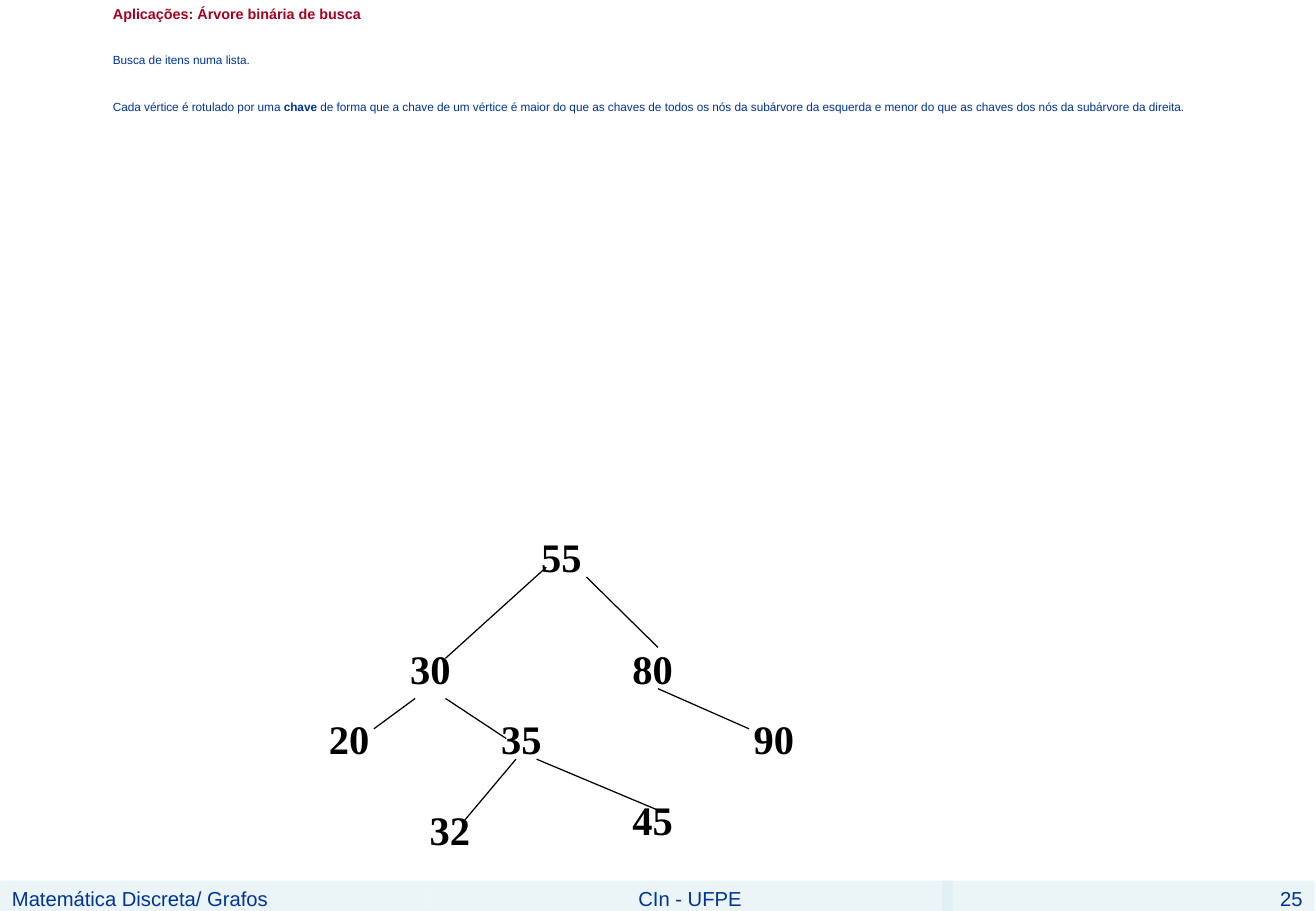
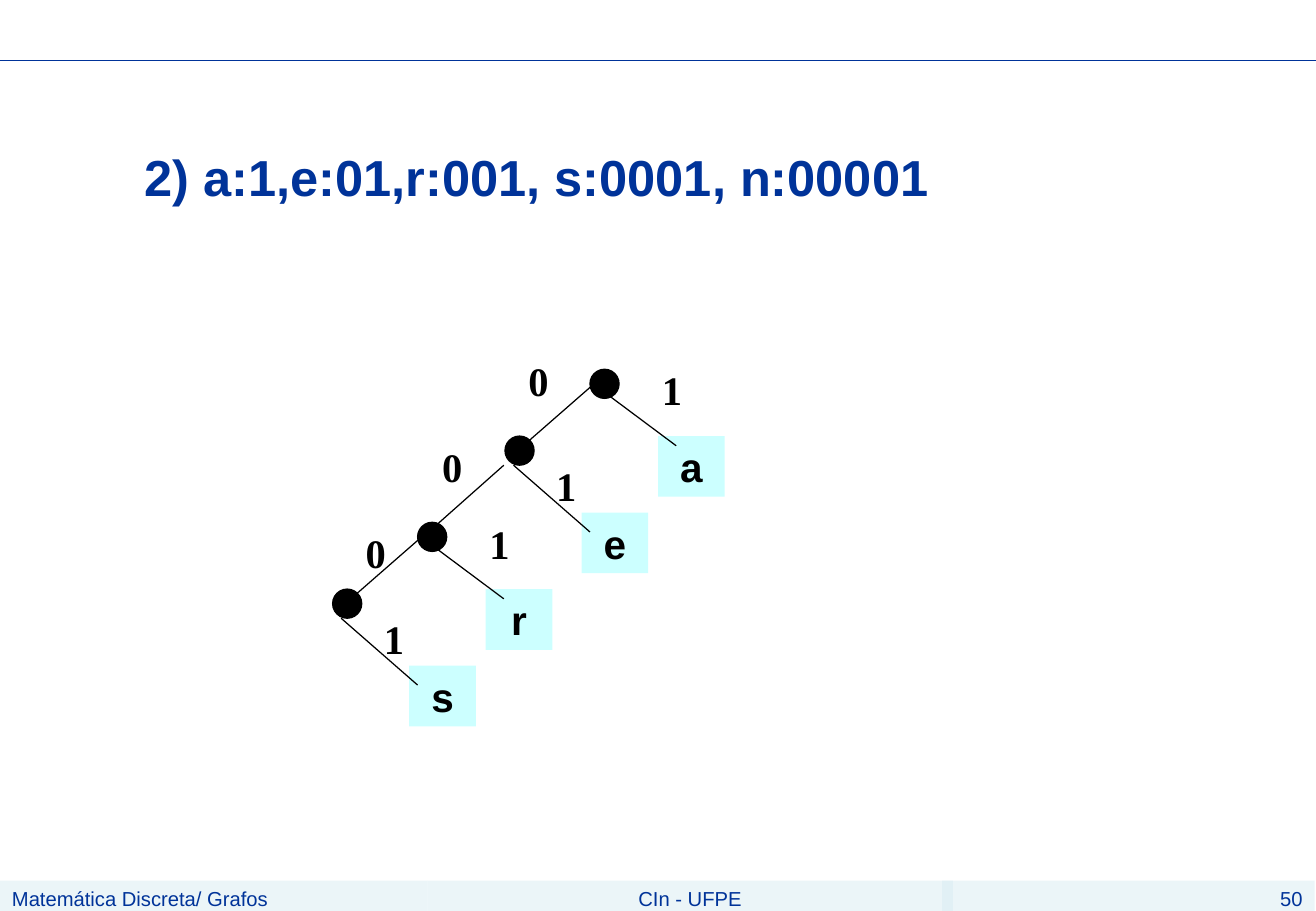
from dataclasses import dataclass
from typing import Any, Optional

import pptx
import pptx.dml.color
import pptx.enum.shapes
import pptx.enum.text
import pptx.oxml.ns
import pptx.util
from lxml import etree

Inches = pptx.util.Inches
Pt = pptx.util.Pt
ALIGN = pptx.enum.text.PP_ALIGN
SHAPE = pptx.enum.shapes.MSO_SHAPE
qn = pptx.oxml.ns.qn

# Shared look
BLUE, RED, BLACK = "003399", "A50021", "000000"
BAND, LEAF = "D9ECF3", "CCFFFF"
SLIDE_W, SLIDE_H = 10.84, 7.5
FOOTER_TOP, FOOTER_H = 7.25, 0.25

FOOTER = dict(name="Arial", size=Pt(12), bold=False)
KEY = dict(name="Times New Roman", size=Pt(24), bold=True)
LETTER = dict(name="Arial", size=Pt(24), bold=True)
NOTE = dict(name="Arial", size=Pt(7), bold=False)
NOTE_STRONG = dict(NOTE, bold=True)


@dataclass(frozen=True)
class Box:
    x: float
    y: float
    w: float
    h: float


@dataclass(frozen=True)
class Label:
    text: str
    x: float
    y: float


@dataclass(frozen=True)
class Edge:
    x1: float
    y1: float
    x2: float
    y2: float


@dataclass(frozen=True)
class Fork:
    """One inner node of the code tree, with its branches and labels."""
    dot: tuple[float, float]
    left: Edge
    right: Edge
    leaf: tuple[float, float]
    one: tuple[float, float]


def rgb(value: str) -> pptx.dml.color.RGBColor:
    return pptx.dml.color.RGBColor.from_string(value)


def place(sp: Any, box: Box) -> None:
    fields = dict(left=box.x, top=box.y, width=box.w, height=box.h)
    for name, value in fields.items():
        setattr(sp, name, Inches(value))


def add_run(p: Any, text: str, fmt: dict, color: str) -> None:
    r = p.add_run()
    r.text = text
    for name, value in fmt.items():
        setattr(r.font, name, value)
    r.font.color.rgb = rgb(color)


def write(sp: Any, text: str, fmt: dict, color: str, align: Any) -> None:
    tf = sp.text_frame
    tf.word_wrap = True
    tf.vertical_anchor = pptx.enum.text.MSO_ANCHOR.TOP
    p = tf.paragraphs[0]
    p.alignment = align
    add_run(p, text, fmt, color)


def add_filled(s: Any, kind: Any, box: Box, color: str) -> Any:
    sp = s.shapes.add_shape(kind, 0, 0, 0, 0)
    place(sp, box)
    sp.shadow.inherit = False
    sp.fill.solid()
    sp.fill.fore_color.rgb = rgb(color)
    sp.line.fill.background()
    return sp


def add_label(s: Any, label: Label, width: float) -> None:
    sp = s.shapes.add_textbox(0, 0, 0, 0)
    place(sp, Box(label.x, label.y, width, 0.5))
    write(sp, label.text, KEY, BLACK, ALIGN.CENTER)


def add_edge(s: Any, e: Edge, color: str = BLACK) -> None:
    cx = s.shapes.add_connector(
        pptx.enum.shapes.MSO_CONNECTOR.STRAIGHT,
        Inches(e.x1), Inches(e.y1), Inches(e.x2), Inches(e.y2))
    cx.line.color.rgb = rgb(color)
    cx.line.width = Pt(0.75)
    etree.SubElement(cx._element.spPr, qn("a:effectLst"))


def set_frame(sp: Any, box: Box) -> Any:
    """Move a placeholder and strip its insets and autofit."""
    place(sp, box)
    tf = sp.text_frame
    tf.auto_size = pptx.enum.text.MSO_AUTO_SIZE.NONE
    tf.vertical_anchor = pptx.enum.text.MSO_ANCHOR.TOP
    for side in ("left", "top", "right", "bottom"):
        setattr(tf, f"margin_{side}", 0)
    return tf


def set_title(s: Any, text: str, box: Box, size: float, color: str) -> None:
    sp = s.shapes.title
    set_frame(sp, box)
    write(sp, text, dict(name="Arial", size=Pt(size), bold=True), color, ALIGN.LEFT)
    sp.text_frame.paragraphs[0].space_before = Pt(0)


def set_body(s: Any, paragraphs: list, box: Box, gap: float) -> None:
    tf = set_frame(s.placeholders[1], box)
    tf.word_wrap = True
    for i, runs in enumerate(paragraphs):
        p = tf.add_paragraph() if i else tf.paragraphs[0]
        p.space_before = Pt(gap if i else 0)
        pPr = p._p.get_or_add_pPr()
        pPr.set("marL", "0")
        pPr.set("indent", "0")
        etree.SubElement(pPr, qn("a:buNone"))
        for text, fmt in runs:
            add_run(p, text, fmt, BLUE)


def add_footer(s: Any, number: str) -> None:
    bands = [
        ("Matemática Discreta/ Grafos", 0, 3.52, ALIGN.LEFT),
        ("CIn - UFPE", 3.52, 4.33, ALIGN.CENTER),
        (number, 7.76, 3.07, ALIGN.RIGHT),
    ]
    for text, x, w, align in bands:
        sp = add_filled(s, SHAPE.RECTANGLE, Box(x, FOOTER_TOP, w, FOOTER_H), BAND)
        clr = sp._element.spPr.find(qn("a:solidFill"))[0]
        etree.SubElement(clr, qn("a:alpha")).set("val", "50000")
        write(sp, text, FOOTER, BLUE, align)


def new_slide(prs: Any, layout: int, number: str) -> Any:
    s = prs.slides.add_slide(prs.slide_layouts[layout])
    add_footer(s, number)
    return s


def build_search_tree(prs: Any) -> None:
    s = new_slide(prs, 1, "25")
    set_title(s, "Aplicações: Árvore binária de busca",
              Box(0.93, 0.04, 9.8, 0.2), 8.5, RED)
    set_body(s, [
        [("Busca de itens numa lista.", NOTE)],
        [("Cada vértice é rotulado por uma ", NOTE),
         ("chave ", NOTE_STRONG),
         ("de forma que a chave de um vértice é maior do que as chaves de "
          "todos os nós da subárvore da esquerda e menor do que as chaves "
          "dos nós da subárvore da direita.", NOTE)],
    ], Box(0.93, 0.43, 9.8, 0.65), 19.8)

    # Keys
    keys = [
        Label("55", 4.25, 4.33),
        Label("30", 3.17, 5.25), Label("80", 5, 5.25),
        Label("20", 2.5, 5.83), Label("35", 3.92, 5.83), Label("90", 6, 5.83),
        Label("32", 3.33, 6.58), Label("45", 5, 6.5),
    ]
    for key in keys:
        add_label(s, key, 0.75)

    # Branches
    edges = [
        Edge(4.5, 4.67, 3.67, 5.42), Edge(4.83, 4.75, 5.42, 5.33),
        Edge(3.42, 5.75, 3.08, 6), Edge(3.67, 5.75, 4.17, 6.08),
        Edge(4.25, 6.25, 3.83, 6.75), Edge(4.42, 6.25, 5.42, 6.67),
        Edge(5.42, 5.67, 6.17, 6),
    ]
    for edge in edges:
        add_edge(s, edge)


def build_code_tree(prs: Any) -> None:
    s = new_slide(prs, 5, "50")
    set_title(s, "2) a:1,e:01,r:001, s:0001, n:00001",
              Box(1.19, 1.2, 9.3, 0.5), 30, BLUE)
    add_edge(s, Edge(0, 0.5, SLIDE_W, 0.5), BLUE)

    # Two forks alternate down the tree, each pair moved by one step
    step_x, step_y = -1.42, 1.26
    forks = [
        Fork((4.86, 3.04), Edge(4.94, 3.12, 4.31, 3.67),
             Edge(4.94, 3.2, 5.57, 3.67), (5.42, 3.59), (5.26, 2.96)),
        Fork((4.16, 3.59), Edge(4.15, 3.83, 3.53, 4.38),
             Edge(4.23, 3.83, 4.86, 4.38), (4.79, 4.22), (4.39, 3.75)),
    ]
    letters = "aers"
    dots = []
    for i, letter in enumerate(letters):
        pair, kind = divmod(i, len(forks))
        fork, dx, dy = forks[kind], pair * step_x, pair * step_y
        leaf = add_filled(s, SHAPE.RECTANGLE,
                          Box(fork.leaf[0] + dx, fork.leaf[1] + dy, 0.55, 0.5), LEAF)
        write(leaf, letter, LETTER, BLACK, ALIGN.CENTER)
        branches = [fork.right]
        if i < len(letters) - 1:
            branches.append(fork.left)
        for e in branches:
            add_edge(s, Edge(e.x1 + dx, e.y1 + dy, e.x2 + dx, e.y2 + dy))
        add_label(s, Label("1", fork.one[0] + dx, fork.one[1] + dy), 0.55)
        dots.append(Box(fork.dot[0] + dx, fork.dot[1] + dy, 0.24, 0.24))

    # Nodes lie over the branches
    for dot in dots:
        sp = add_filled(s, SHAPE.OVAL, dot, BLACK)
        sp.line.color.rgb = rgb(BLACK)
        sp.line.width = Pt(0.75)

    # Left branch digits
    for x, y in [(4.16, 2.88), (3.45, 3.59), (2.82, 4.3)]:
        add_label(s, Label("0", x, y), 0.55)


def main() -> None:
    prs = pptx.Presentation()
    prs.slide_width = Inches(SLIDE_W)
    prs.slide_height = Inches(SLIDE_H)
    build_search_tree(prs)
    build_code_tree(prs)
    prs.save("out.pptx")


if __name__ == "__main__":
    main()
